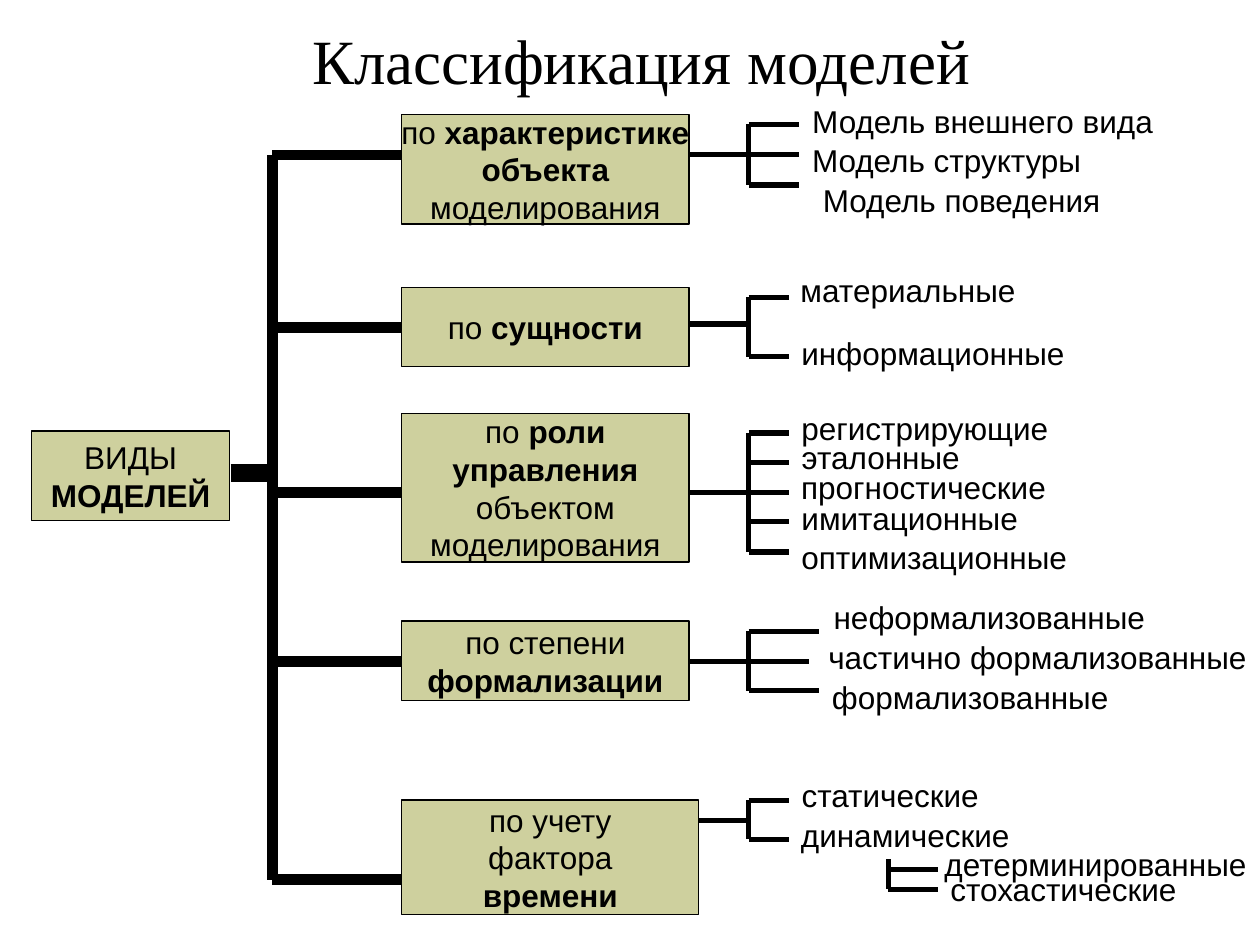
"""Build the slide that shows the classification of models as a tree."""
from dataclasses import dataclass
from typing import NamedTuple

from lxml.etree import SubElement
from pptx import Presentation
from pptx.dml.color import RGBColor
from pptx.enum.shapes import MSO_CONNECTOR, MSO_SHAPE
from pptx.enum.text import MSO_ANCHOR, MSO_AUTO_SIZE, PP_ALIGN
from pptx.oxml.ns import qn
from pptx.util import Cm, Pt

BLACK = "000000"
OLIVE = "CED09E"
TRUNK_X, SPINE_X = 5.49, 15.09
CATEGORY_LEFT = 8.1
LABEL_HEIGHT = 1.02
BODY_FONT = {"name": "Arial", "size": Pt(18)}
TITLE_FONT = {"name": "Times New Roman", "size": Pt(36)}
BOX_FRAME = {"word_wrap": False, "vertical_anchor": MSO_ANCHOR.MIDDLE}
LABEL_FRAME = {"word_wrap": False, "vertical_anchor": MSO_ANCHOR.TOP,
               "auto_size": MSO_AUTO_SIZE.SHAPE_TO_FIT_TEXT}
CENTERED = {"alignment": PP_ALIGN.CENTER}


class Line(NamedTuple):
    """A line of text: a plain part followed by a bold part."""
    plain: str = ""
    bold: str = ""


class Leaf(NamedTuple):
    """A label with the branch line that leads to it."""
    text: str
    left: float
    top: float
    width: float
    line_y: float
    line_end: float


@dataclass
class Category:
    """A box on the trunk with its leaves."""
    lines: list[Line]
    top: float
    height: float
    trunk_y: float
    stem_y: float
    leaves: list[Leaf]
    width: float = 5.79


ROOT_LINES = [Line("ВИДЫ"), Line(bold="МОДЕЛЕЙ")]
CATEGORIES = [
    Category([Line("по ", "характеристике"), Line(bold="объекта"), Line("моделирования")],
             2.31, 2.21, 3.12, 3.12, [
        Leaf("Модель внешнего вида", 16.1, 1.93, 7.42, 2.51, 16.1),
        Leaf("Модель структуры", 16.1, 2.72, 5.97, 3.12, 16.1),
        Leaf("Модель поведения", 16.31, 3.53, 6.15, 3.73, 16.1)]),
    Category([Line("по ", "сущности")], 5.79, 1.6, 6.6, 6.53, [
        Leaf("материальные", 15.88, 5.33, 4.85, 5.99, 15.9),
        Leaf("информационные", 15.9, 6.6, 5.82, 7.19, 15.9)]),
    Category([Line("по ", "роли"), Line(bold="управления"), Line("объектом"),
              Line("моделирования")], 8.33, 3.0, 9.93, 9.93, [
        Leaf("регистрирующие", 15.9, 8.13, 5.49, 8.73, 15.9),
        Leaf("эталонные", 15.9, 8.71, 3.71, 9.32, 15.9),
        Leaf("прогностические", 15.9, 9.32, 5.44, 9.93, 15.9),
        Leaf("имитационные", 15.9, 9.93, 4.88, 10.52, 15.9),
        Leaf("оптимизационные", 15.9, 10.72, 5.87, 11.13, 15.9)]),
    Category([Line("по степени"), Line(bold="формализации")], 12.52, 1.6, 13.34, 13.34, [
        Leaf("неформализованные", 16.54, 11.94, 6.81, 12.73, 16.51),
        Leaf("частично формализованные", 16.43, 12.73, 8.97, 13.34, 16.31),
        Leaf("формализованные", 16.51, 13.54, 6.1, 13.92, 16.51)]),
    Category([Line("по учету"), Line("фактора"), Line(bold="времени")],
             16.13, 2.31, 17.73, 16.54, [
        Leaf("статические", 15.9, 15.52, 4.09, 16.13, 15.9),
        Leaf("динамические", 15.85, 16.33, 4.8, 16.92, 15.9)], 5.99),
]
DYNAMIC_LEAVES = [
    Leaf("детерминированные", 18.77, 16.92, 6.63, 17.53, 18.9),
    Leaf("стохастические", 18.9, 17.42, 5.08, 17.93, 18.9),
]


def color(value: str) -> RGBColor:
    """Return the colour for a hex string."""
    return RGBColor.from_string(value)


def apply_format(target, values: dict) -> None:
    """Set each attribute named in the format values."""
    for name, value in values.items():
        setattr(target, name, value)


def write_lines(shape, lines: list[Line], frame_format: dict, font_format: dict) -> None:
    """Write centred lines of text into a shape."""
    frame = shape.text_frame
    apply_format(frame, frame_format)
    for index, line in enumerate(lines):
        paragraph = frame.add_paragraph() if index else frame.paragraphs[0]
        apply_format(paragraph, CENTERED)
        for text, bold in ((line.plain, False), (line.bold, True)):
            if text:
                run = paragraph.add_run()
                run.text = text
                apply_format(run.font, {**font_format, "bold": bold})
                run.font.color.rgb = color(BLACK)


def draw_line(slide, start: tuple[float, float], end: tuple[float, float],
              weight: float = 3) -> None:
    """Draw a black line between two points."""
    connector = slide.shapes.add_connector(
        MSO_CONNECTOR.STRAIGHT, *(Cm(value) for value in (*start, *end)))
    connector.line.width = Pt(weight)
    connector.line.color.rgb = color(BLACK)
    SubElement(connector._element.spPr, qn("a:effectLst"))


def draw_box(slide, lines: list[Line], left: float, top: float,
             width: float, height: float) -> None:
    """Draw an olive box with text."""
    box = slide.shapes.add_shape(
        MSO_SHAPE.RECTANGLE, Cm(left), Cm(top), Cm(width), Cm(height))
    box.shadow.inherit = False
    box.fill.solid()
    box.fill.fore_color.rgb = color(OLIVE)
    box.line.color.rgb = color(BLACK)
    box.line.width = Pt(0.75)
    write_lines(box, lines, BOX_FRAME, BODY_FONT)


def draw_leaves(slide, leaves: list[Leaf], spine_x: float, spine_top: float) -> None:
    """Draw a spine with a branch line and a label for each leaf."""
    draw_line(slide, (spine_x, spine_top), (spine_x, leaves[-1].line_y))
    for leaf in leaves:
        draw_line(slide, (spine_x, leaf.line_y), (leaf.line_end, leaf.line_y))
        label = slide.shapes.add_textbox(
            Cm(leaf.left), Cm(leaf.top), Cm(leaf.width), Cm(LABEL_HEIGHT))
        write_lines(label, [Line(leaf.text)], LABEL_FRAME, BODY_FONT)


def draw_category(slide, category: Category) -> None:
    """Draw a category box, its link to the trunk and its leaves."""
    draw_line(slide, (TRUNK_X, category.trunk_y), (CATEGORY_LEFT, category.trunk_y), 6)
    draw_box(slide, category.lines, CATEGORY_LEFT, category.top,
             category.width, category.height)
    draw_line(slide, (CATEGORY_LEFT + category.width, category.stem_y),
              (SPINE_X, category.stem_y))
    draw_leaves(slide, category.leaves, SPINE_X, category.leaves[0].line_y)


def main() -> None:
    """Build and save the presentation."""
    presentation = Presentation()
    apply_format(presentation, {"slide_width": Cm(25.4), "slide_height": Cm(19.05)})
    slide = presentation.slides.add_slide(presentation.slide_layouts[5])
    title = slide.shapes.title
    apply_format(title, {"left": Cm(1.5), "top": Cm(0),
                         "width": Cm(22.86), "height": Cm(2.41)})
    write_lines(title, [Line("Классификация моделей")],
                {**BOX_FRAME, "word_wrap": True}, TITLE_FONT)
    draw_box(slide, ROOT_LINES, 0.64, 8.69, 3.99, 1.8)
    draw_line(slide, (4.65, 9.53), (TRUNK_X, 9.53), 10)
    draw_line(slide, (TRUNK_X, CATEGORIES[0].trunk_y),
              (TRUNK_X, CATEGORIES[-1].trunk_y), 6)
    for category in CATEGORIES:
        draw_category(slide, category)
    draw_leaves(slide, DYNAMIC_LEAVES, 17.91, 17.32)
    presentation.save("out.pptx")


if __name__ == "__main__":
    main()
